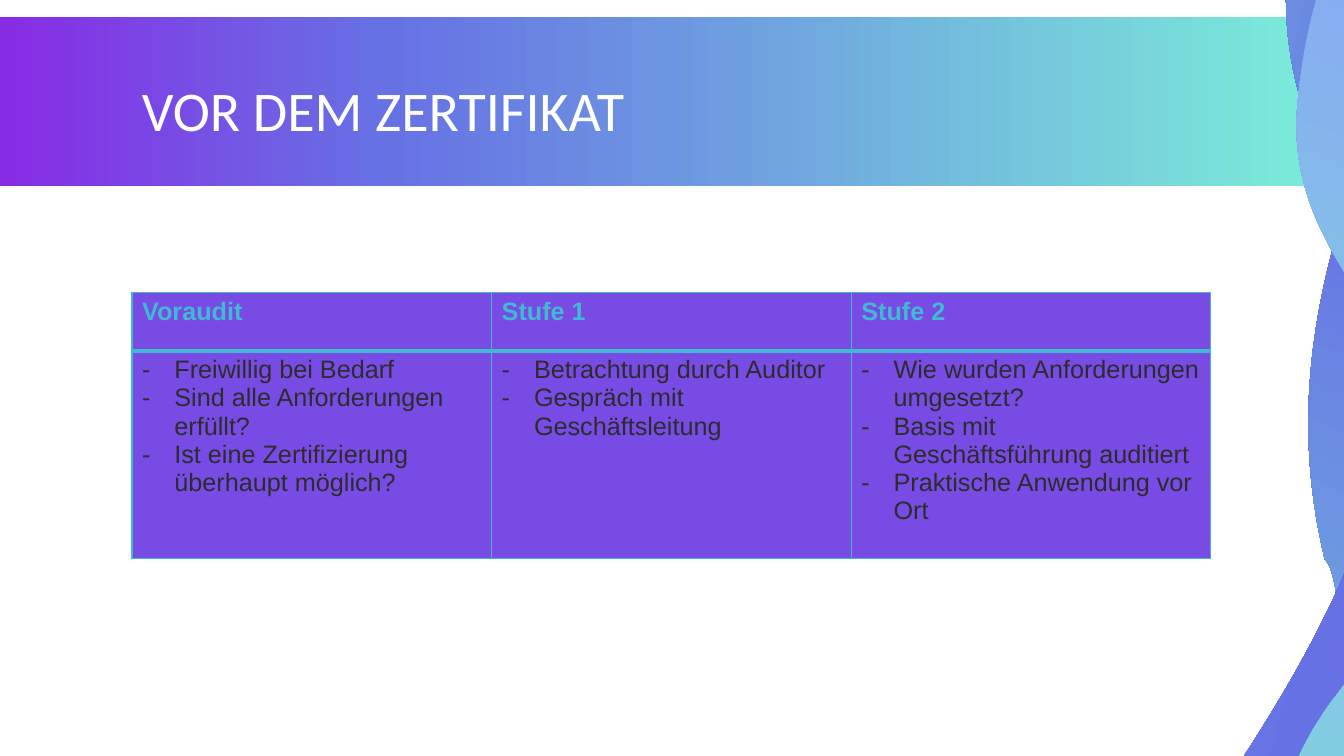
from copy import deepcopy
from dataclasses import dataclass
from math import cos, radians, sin

from lxml import etree
from pptx import Presentation
from pptx.dml.color import RGBColor
from pptx.enum.shapes import MSO_SHAPE
from pptx.enum.text import MSO_ANCHOR, PP_ALIGN
from pptx.oxml.ns import qn
from pptx.util import Inches, Pt

RECT = MSO_SHAPE.RECTANGLE
MIDDLE = MSO_ANCHOR.MIDDLE
LEFT = PP_ALIGN.LEFT
W, H = 13.33, 7.5
DOWN, LEFTWARD = 270, 190
TILT = 23.4


@dataclass(frozen=True)
class Theme:
    title_font: str = "Calibri"
    body_font: str = "Arial"
    title_size: int = 40
    body_size: int = 18
    title: str = "FFFFFF"
    text: str = "2C2C2C"
    accent: str = "40BAD2"
    cell: str = "794BE5"
    band: tuple = ((0, "882BE5"), (29, "6672E4"), (100, "7CEFD8"))
    ribbon_back: tuple = ((0, "882BE5"), (60, "6672E4"), (100, "7CEFD8"))
    ribbon_mid: tuple = ((0, "882BE5"), (53, "6672E4"), (100, "7CEFD8"))
    ribbon_front: tuple = ((0, "878CFF"), (46, "85C1E7"), (100, "80DEDE"))


THEME = Theme()

# Ribbons: frame, gradient, direction, start point, cubic curves (control, control, end)
RIBBONS = [
    ((13.9, -12.32, 5, 24.64), THEME.ribbon_back, DOWN, (12.31, 10.66), [
        ((12.31, 10.66), (12.77, 11.86), (15.85, 6.15)),
        ((18.93, 0.44), (18.51, -2.45), (18.35, -3.45)),
        ((18.18, -4.45), (18.18, -4.78), (18.74, -6.79)),
        ((19.29, -8.8), (20.5, -11.65), (19.14, -10.55)),
        ((17.77, -9.44), (16.7, -5.07), (16.19, -3.82)),
        ((15.68, -2.58), (14.23, -0.65), (13.76, 0.76)),
        ((13.29, 2.18), (12.68, 3.65), (13.14, 5.55)),
        ((13.14, 5.55), (13.65, 5.98), (12.57, 8.92)),
        ((12.57, 8.92), (11.98, 10.59), (12.31, 10.66))]),
    ((10.64, -3.38, 6.67, 15.23), THEME.ribbon_mid, LEFTWARD, (14.53, 9.18), [
        ((13.41, 10.79), (12.58, 11.45), (12.02, 11.68)),
        ((11.83, 11.58), (11.66, 11.39), (11.54, 11.11)),
        ((10.88, 9.6), (12.3, 7.56), (12.3, 7.56)),
        ((15.62, 2.49), (12.22, 2.48), (12.83, -0.8)),
        ((12.99, -1.67), (13.21, -2.38), (13.45, -2.94)),
        ((13.54, -2.99), (13.64, -3.03), (13.74, -3.06)),
        ((15.3, -3.5), (14.52, -1.62), (14.39, -0.2)),
        ((14.27, 1.23), (14.37, 1.49), (14.93, 2.34)),
        ((15.49, 3.19), (17.01, 5.63), (14.53, 9.18))]),
    ((10.89, -1.24, 7.24, 11.62), THEME.ribbon_front, DOWN, (13.23, 6.93), [
        ((15.73, 3.65), (12.65, 3.3), (12.87, 1.02)),
        ((13.09, -1.26), (14.23, -1.76), (14.67, -1.63)),
        ((15.11, -1.49), (15.33, -1.19), (15.12, -0.34)),
        ((14.91, 0.52), (16.28, 0.95), (17.22, 1.26)),
        ((18.16, 1.56), (19.11, 3.04), (17.74, 4.37)),
        ((16.36, 5.7), (16.43, 5.63), (16.25, 7.41)),
        ((16.07, 9.18), (15.18, 9.72), (15.18, 9.72)),
        ((15.18, 9.72), (13.65, 10.53), (12.9, 9.39)),
        ((12.16, 8.25), (13.23, 6.93), (13.23, 6.93))]),
]

COLUMNS = [
    ("Voraudit", ["Freiwillig bei Bedarf", "Sind alle Anforderungen erfüllt?",
                  "Ist eine Zertifizierung überhaupt möglich?"]),
    ("Stufe 1", ["Betrachtung durch Auditor", "Gespräch mit Geschäftsleitung"]),
    ("Stufe 2", ["Wie wurden Anforderungen umgesetzt?",
                 "Basis mit Geschäftsführung auditiert",
                 "Praktische Anwendung vor Ort"]),
]


def paint(s, stops, angle):
    """Linear gradient without outline or shadow."""
    s.shadow.inherit = False
    s.line.fill.background()
    s.fill.gradient()
    s.fill.gradient_angle = angle
    gs_list = s.fill._fill._gradFill.find(qn("a:gsLst"))
    for _ in stops[2:]:
        gs_list.append(deepcopy(gs_list[0]))
    for stop, (pos, color) in zip(s.fill.gradient_stops, stops):
        stop.position = pos / 100
        stop.color.rgb = RGBColor.from_string(color)


def write(p, text, font, size, color, bold=False):
    p.alignment = LEFT
    r = p.add_run()
    r.text = text
    style = {"name": font, "size": Pt(size), "bold": bold}
    for name, value in style.items():
        setattr(r.font, name, value)
    r.font.color.rgb = RGBColor.from_string(color)


def add_ribbon(slide, box, stops, angle, start, curves):
    """Tilted closed outline of cubic curves."""
    left, top, width, height = box
    right, bottom = left + width, top + height
    corners = [(left, top), (right, top), (right, bottom), (left, bottom)]
    corners = [(Inches(x), Inches(y)) for x, y in corners]
    builder = slide.shapes.build_freeform(*corners[0])
    builder.add_line_segments(corners[1:], close=True)
    s = builder.convert_to_shape()
    outline = next(s._element.iter(qn("a:path")))
    for child in list(outline):
        outline.remove(child)
    cos_t, sin_t = cos(radians(TILT)), sin(radians(TILT))

    def segment(kind, points=()):
        node = etree.SubElement(outline, qn("a:" + kind))
        for x, y in points:
            dx, dy = x - left - width / 2, y - top - height / 2
            px = width / 2 + dx * cos_t + dy * sin_t
            py = height / 2 - dx * sin_t + dy * cos_t
            etree.SubElement(node, qn("a:pt"), x=str(Inches(px)), y=str(Inches(py)))

    segment("moveTo", [start])
    for curve in curves:
        segment("cubicBezTo", curve)
    segment("close")
    s.rotation = TILT
    paint(s, stops, angle)


def add_band(slide, left, top, width, height):
    s = slide.shapes.add_shape(RECT, *map(Inches, (left, top, width, height)))
    paint(s, THEME.band, 0)


def add_title(slide, left, top, width, height, text):
    s = slide.shapes.add_textbox(*map(Inches, (left, top, width, height)))
    tf = s.text_frame
    tf.word_wrap = True
    tf.vertical_anchor = MIDDLE
    p = tf.paragraphs[0]
    p.line_spacing = 0.85
    write(p, text, THEME.title_font, THEME.title_size, THEME.title)


def set_border(cell, side, points):
    ln = etree.SubElement(cell._tc.get_or_add_tcPr(), qn("a:ln" + side), w=str(Pt(points)))
    fill = etree.SubElement(ln, qn("a:solidFill"))
    etree.SubElement(fill, qn("a:srgbClr"), val=THEME.accent)


def add_dash(p):
    pPr = p._p.get_or_add_pPr()
    pPr.set("marL", str(Inches(0.32)))
    pPr.set("indent", str(-Inches(0.32)))
    etree.SubElement(pPr, qn("a:buFont"), typeface=THEME.body_font)
    etree.SubElement(pPr, qn("a:buChar"), char="-")


def add_stages(slide, left, top, width, header_h, body_h):
    """Table with one column per audit stage."""
    box = map(Inches, (left, top, width, header_h + body_h))
    table = slide.shapes.add_table(2, len(COLUMNS), *box).table
    table.horz_banding = False
    for row, height in zip(table.rows, (header_h, body_h)):
        row.height = Inches(height)
    for i, (heading, items) in enumerate(COLUMNS):
        table.columns[i].width = Inches(width / len(COLUMNS))
        head, body = table.cell(0, i), table.cell(1, i)
        for cell, top_pt, bottom_pt in ((head, 1, 3), (body, 3, 1)):
            for side, points in zip("LRTB", (1, 1, top_pt, bottom_pt)):
                set_border(cell, side, points)
            cell.fill.solid()
            cell.fill.fore_color.rgb = RGBColor.from_string(THEME.cell)
        write(head.text_frame.paragraphs[0], heading, THEME.body_font,
              THEME.body_size, THEME.accent, bold=True)
        tf = body.text_frame
        for n, item in enumerate(items):
            p = tf.add_paragraph() if n else tf.paragraphs[0]
            add_dash(p)
            write(p, item, THEME.body_font, THEME.body_size, THEME.text)


prs = Presentation()
prs.slide_width, prs.slide_height = Inches(W), Inches(H)
slide = prs.slides.add_slide(prs.slide_layouts[6])
add_band(slide, 0, 0.17, W, 1.68)
for ribbon in RIBBONS:
    add_ribbon(slide, *ribbon)
add_title(slide, 1.31, 0.31, 10.7, 1.65, "VOR DEM ZERTIFIKAT")
add_stages(slide, 1.31, 2.9, 10.7, 0.58, 2.06)
prs.save("out.pptx")
